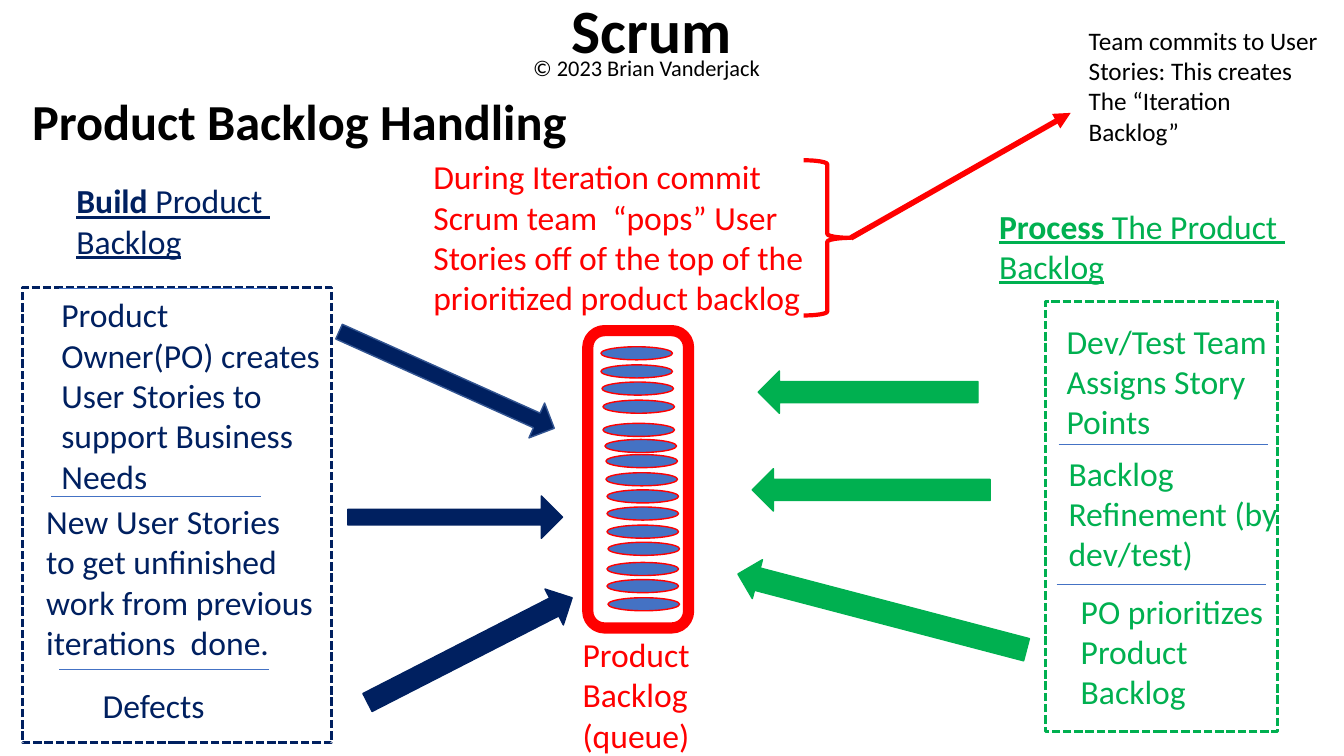
import pptx
import pptx.util
import pptx.dml.color
import pptx.enum.dml
import pptx.enum.shapes
import pptx.enum.text
import pptx.oxml
import pptx.oxml.ns

Inches = pptx.util.Inches
Pt = pptx.util.Pt
KIND = pptx.enum.shapes.MSO_SHAPE
COLORS = {"navy": "002060", "green": "00B050", "red": "FF0000", "blue": "4472C4",
          "edge": "325491", "black": "000000", "white": "FFFFFF"}


def color(name):
    return pptx.dml.color.RGBColor.from_string(COLORS[name])


def write(frame, text, size=24, tint="black", bold=False, under=False, lead="", wrap=True):
    """Fill a frame, one paragraph per line; lead is a bold opening run."""
    frame.word_wrap = wrap
    for i, line in enumerate(text.split("\n")):
        para = frame.paragraphs[0] if i == 0 else frame.add_paragraph()
        para.alignment = pptx.enum.text.PP_ALIGN.LEFT
        runs = [(line, bold)]
        if lead and i == 0:
            runs.insert(0, (lead, True))
        for words, heavy in runs:
            run = para.add_run()
            run.text = words
            font = run.font
            font.name, font.size = "Calibri", Pt(size)
            font.bold, font.underline = heavy, under
            font.color.rgb = color(tint)


def label(slide, x, y, w, h, text, **form):
    box = slide.shapes.add_textbox(Inches(x), Inches(y), Inches(w), Inches(h))
    write(box.text_frame, text, **form)


def shape(slide, kind, x, y, w, h, fill=None, edge="red", width=1, dash=False):
    item = slide.shapes.add_shape(kind, Inches(x), Inches(y), Inches(w), Inches(h))
    item.shadow.inherit = False
    if fill:
        item.fill.solid()
        item.fill.fore_color.rgb = color(fill)
    else:
        item.fill.background()
    item.line.color.rgb = color(edge)
    item.line.width = Pt(width)
    if dash:
        item.line.dash_style = pptx.enum.dml.MSO_LINE.SQUARE_DOT
    return item


def arrow(slide, x, y, w, h, tint, turn=0, shaft=0.5, edge=None):
    item = shape(slide, KIND.RIGHT_ARROW, x, y, w, h, tint, edge or tint)
    item.rotation = turn
    item.adjustments[0] = shaft


def line(slide, x, y, dx, dy, tint="blue", width=0.5, head=False):
    item = slide.shapes.add_connector(pptx.enum.shapes.MSO_CONNECTOR.STRAIGHT,
                                      Inches(x), Inches(y), Inches(x + dx), Inches(y + dy))
    item.line.color.rgb = color(tint)
    item.line.width = Pt(width)
    if head:
        tip = pptx.oxml.parse_xml(
            f'<a:tailEnd {pptx.oxml.ns.nsdecls("a")} type="triangle"/>')
        item.line._get_or_add_ln().append(tip)
    item._element.spPr.append(
        pptx.oxml.parse_xml(f'<a:effectLst {pptx.oxml.ns.nsdecls("a")}/>'))


def header(slide, x, y):
    title = slide.shapes.title
    title.left, title.top = Inches(x + 5.35), Inches(y - 1.23)
    title.width, title.height = Inches(11.5), Inches(1.45)
    frame = title.text_frame
    frame.vertical_anchor = pptx.enum.text.MSO_ANCHOR.MIDDLE
    write(frame, "Scrum", size=44, bold=True)
    frame.paragraphs[0].line_spacing = 0.9
    label(slide, x + 4.97, y - 0.35, 2.48, 0.37, "© 2023 Brian Vanderjack",
          size=16, wrap=False)
    label(slide, x, y, 5.57, 0.71, "Product Backlog Handling",
          size=36, bold=True, wrap=False)


def queue(slide, x, y, w, h):
    shape(slide, KIND.ROUNDED_RECTANGLE, x, y, w, h, "white", "red", 8)
    stories = [(0.13, 0.16), (0.13, 0.34), (0.14, 0.51), (0.15, 0.69), (0.15, 0.92),
               (0.17, 1.08), (0.18, 1.23), (0.18, 1.41), (0.19, 1.58), (0.19, 1.75),
               (0.19, 1.93), (0.2, 2.1), (0.19, 2.3), (0.19, 2.47), (0.2, 2.65)]
    for dx, dy in stories:
        shape(slide, KIND.OVAL, x + dx, y + dy, 0.71, 0.13, "blue")
    label(slide, x - 0.15, y + h + 0.01, 1.27, 1.31, "Product\nBacklog\n(queue)",
          tint="red", wrap=False)


def commit(slide, x, y):
    """Commitment text, its brace and the arrow to the iteration backlog note."""
    label(slide, x, y, 4.24, 1.72,
          "During Iteration commit Scrum team  “pops” User Stories off of the top "
          "of the prioritized product backlog", tint="red")
    shape(slide, KIND.RIGHT_BRACE, x + 3.77, y + 0.09, 0.47, 1.54, width=3)
    line(slide, x + 4.24, y + 0.86, 2.18, -1.24, "red", 4, head=True)
    label(slide, x + 6.5, y - 1.3, 2.63, 1.31,
          "Team commits to User Stories: This creates\nThe “Iteration\nBacklog”", size=18)


def build(slide, x, y, w, h):
    tint = "navy"
    shape(slide, KIND.RECTANGLE, x, y, w, h, edge=tint, width=2, dash=True)
    label(slide, x + 0.44, y - 1.11, 2.16, 0.91, "Product \nBacklog",
          tint=tint, under=True, lead="Build ", wrap=False)
    label(slide, x + 0.29, y + 0.02, 2.79, 2.12,
          "Product Owner(PO) creates User Stories to support Business Needs", tint=tint)
    label(slide, x + 0.14, y + 2.07, 2.88, 1.72,
          "New User Stories  to get unfinished work from previous iterations  done.",
          tint=tint)
    label(slide, x + 0.7, y + 3.9, 1.22, 0.5, "Defects", tint=tint, wrap=False)
    for dx, dy in [(0.37, 0.01), (0.29, 2.07), (0.37, 3.79)]:
        line(slide, x + dx, y + dy, 2.08, 0)
    arrow(slide, x + 3.04, y + 0.73, 2.34, 0.38, tint, 24.2, 0.42, "edge")
    arrow(slide, x + 3.23, y + 2.07, 2.13, 0.42, tint, 0, 0.37)
    arrow(slide, x + 3.3, y + 3.4, 2.28, 0.4, tint, 332.9)


def process(slide, x, y, w, h):
    tint = "green"
    shape(slide, KIND.RECTANGLE, x, y, w, h, edge=tint, width=2, dash=True)
    label(slide, x - 0.56, y - 1, 3.39, 0.91, "The Product \nBacklog",
          tint=tint, under=True, lead="Process ")
    tasks = [(0.11, 0.14, "Dev/Test Team\nAssigns Story\nPoints"),
             (0.13, 1.45, "Backlog\nRefinement (by dev/test)"),
             (0.25, 2.82, "PO prioritizes Product Backlog")]
    for dx, dy, text in tasks:
        label(slide, x + dx, y + dy, 2.28, 1.31, text, tint=tint)
    for dx, dy in [(0.13, 1.42), (0.11, 2.81)]:
        line(slide, x + dx, y + dy, 2.08, 0)
    arrow(slide, x - 2.85, y + 0.69, 2.18, 0.42, tint, 180)
    arrow(slide, x - 2.91, y + 1.66, 2.36, 0.42, tint, 180)
    arrow(slide, x - 3.1, y + 2.88, 2.96, 0.4, tint, 194.7, 0.57)


def main():
    deck = pptx.Presentation()
    deck.slide_width, deck.slide_height = Inches(13.33), Inches(7.5)
    slide = deck.slides.add_slide(deck.slide_layouts[5])
    queue(slide, 5.83, 3.28, 1, 2.95)
    commit(slide, 4.2, 1.5)
    build(slide, 0.22, 2.85, 3.07, 4.52)
    process(slide, 10.37, 2.99, 2.3, 4.27)
    header(slide, 0.22, 0.84)
    deck.save("out.pptx")


if __name__ == "__main__":
    main()
